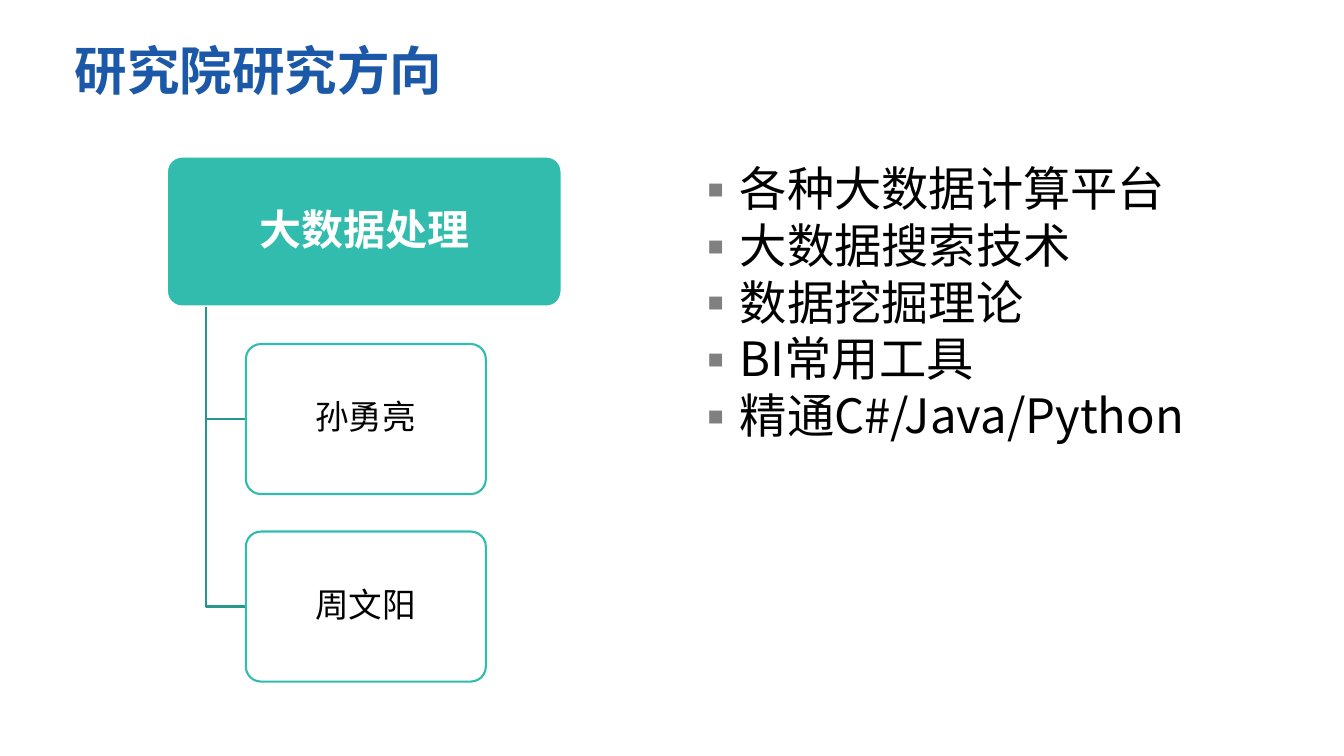
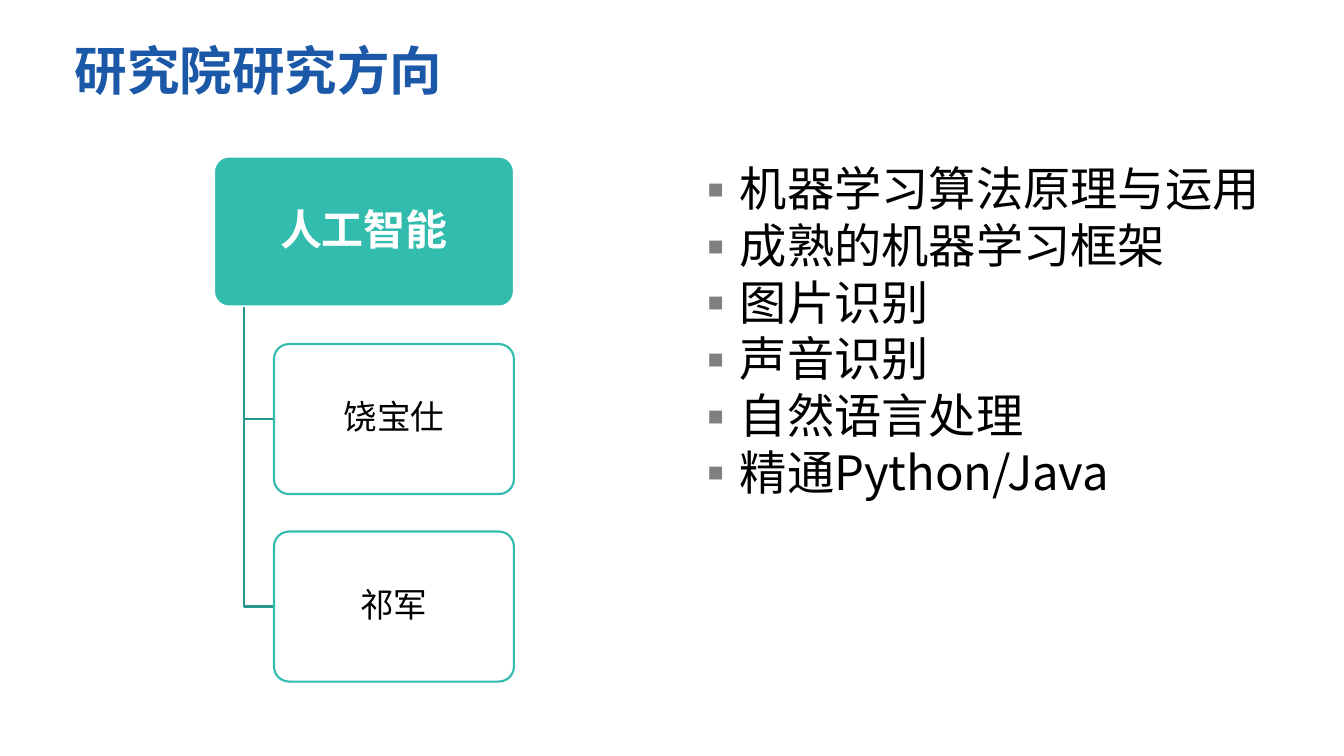
import pptx
import pptx.util
import pptx.dml.color
import pptx.enum.shapes
import pptx.enum.text
import pptx.oxml.ns
from lxml import etree

Cm = pptx.util.Cm
Pt = pptx.util.Pt
RGBColor = pptx.dml.color.RGBColor
ALIGN = pptx.enum.text.PP_ALIGN
ANCHOR = pptx.enum.text.MSO_ANCHOR
qn = pptx.oxml.ns.qn

BLUE = RGBColor(0x1B, 0x58, 0xA8)
TEAL = RGBColor(0x32, 0xBC, 0xAD)
DARK_TEAL = RGBColor(0x28, 0x97, 0x8B)
GRAY = RGBColor(0x80, 0x80, 0x80)
WHITE = RGBColor(0xFF, 0xFF, 0xFF)
BLACK = RGBColor(0, 0, 0)
FONT = "Noto Sans CJK SC"

TREE_TOP = 5.26
BOX_H = 5.04
ROW_PITCH = 1.25 * BOX_H
MEMBER_W = 1.6 * BOX_H


def write(p, text, size=32, color=BLACK, bold=False, align=ALIGN.LEFT, spacing=0.9):
    p.alignment = align
    p.line_spacing = spacing
    p.space_before = Pt(0)
    r = p.add_run()
    r.text = text
    r.font.size = Pt(size)
    r.font.bold = bold
    r.font.color.rgb = color
    r.font.name = FONT
    etree.SubElement(r.font._element, qn("a:ea"), typeface=FONT)


def add_bullet(p):
    pPr = p._p.get_or_add_pPr()
    pPr.set("marL", str(Cm(1.88)))
    pPr.set("indent", str(Cm(-1.55)))
    clr = etree.SubElement(pPr, qn("a:buClr"))
    etree.SubElement(clr, qn("a:srgbClr"), val=str(GRAY))
    etree.SubElement(pPr, qn("a:buFont"), typeface=FONT)
    etree.SubElement(pPr, qn("a:buChar"), char="▪")


class Deck:
    """Holds the shared style and the slide being built."""

    def __init__(self):
        self.prs = pptx.Presentation()
        self.prs.slide_width = Cm(45.16)
        self.prs.slide_height = Cm(25.4)
        self.s = None

    def new_slide(self):
        self.s = self.prs.slides.add_slide(self.prs.slide_layouts[1])

    def place(self, sp, left, top, width, height, inset_x, inset_y):
        """Move a placeholder and return its top-anchored text frame."""
        sp.left, sp.top, sp.width, sp.height = map(Cm, (left, top, width, height))
        tf = sp.text_frame
        tf.auto_size = pptx.enum.text.MSO_AUTO_SIZE.NONE
        tf.word_wrap = True
        tf.vertical_anchor = ANCHOR.TOP
        tf.margin_left = tf.margin_right = Cm(inset_x)
        tf.margin_top = tf.margin_bottom = Cm(inset_y)
        return tf

    def title(self, text):
        tf = self.place(self.s.shapes.title, 2.26, 1.02, 40.64, 4.24, 0.25, 0.25)
        write(tf.paragraphs[0], text, size=50, color=BLUE, bold=True, spacing=Pt(60))

    def bullets(self, items):
        tf = self.place(self.s.placeholders[1], 22.94, TREE_TOP, 19.96, 17.65, 0, 0.1)
        for i, item in enumerate(items):
            p = tf.add_paragraph() if i else tf.paragraphs[0]
            add_bullet(p)
            write(p, item, size=45, spacing=Pt(54))

    def box(self, text, left, top, width, fill, line, **fmt):
        sp = self.s.shapes.add_shape(
            pptx.enum.shapes.MSO_SHAPE.ROUNDED_RECTANGLE,
            Cm(left), Cm(top), Cm(width), Cm(BOX_H))
        sp.adjustments[0] = 0.1
        sp.shadow.inherit = False
        sp.fill.solid()
        sp.fill.fore_color.rgb = fill
        sp.line.color.rgb = line
        sp.line.width = Pt(2)
        tf = sp.text_frame
        tf.word_wrap = True
        tf.vertical_anchor = ANCHOR.MIDDLE
        write(tf.paragraphs[0], text, align=ALIGN.CENTER, **fmt)

    def elbow(self, x, top, right, bottom):
        fb = self.s.shapes.build_freeform(Cm(x), Cm(top))
        fb.add_line_segments([(Cm(x), Cm(bottom)), (Cm(right), Cm(bottom))], close=False)
        sp = fb.convert_to_shape()
        sp.shadow.inherit = False
        sp.fill.background()
        sp.line.color.rgb = DARK_TEAL
        sp.line.width = Pt(2)

    def team(self, field, members, left, width):
        """Draw a research field with its members hanging below it."""
        self.box(field, left, TREE_TOP, width, TEAL, WHITE,
                 size=40, color=WHITE, bold=True)
        member_left = left + 0.2 * width
        for row, member in enumerate(members, 1):
            top = TREE_TOP + row * ROW_PITCH
            self.elbow(left + 0.1 * width, TREE_TOP + BOX_H, member_left, top + BOX_H / 2)
            self.box(member, member_left, top, MEMBER_W, WHITE, TEAL)


DIRECTIONS = [
    ("大数据处理", ["孙勇亮", "周文阳"], 5.61, 13.26,
     ["各种大数据计算平台", "大数据搜索技术", "数据挖掘理论", "BI常用工具",
      "精通C#/Java/Python"]),
    ("人工智能", ["饶宝仕", "祁军"], 7.19, 10.08,
     ["机器学习算法原理与运用", "成熟的机器学习框架", "图片识别", "声音识别",
      "自然语言处理", "精通Python/Java"]),
]


def main():
    deck = Deck()
    for field, members, left, width, skills in DIRECTIONS:
        deck.new_slide()
        deck.title("研究院研究方向")
        deck.team(field, members, left, width)
        deck.bullets(skills)
    deck.prs.save("out.pptx")


if __name__ == "__main__":
    main()
